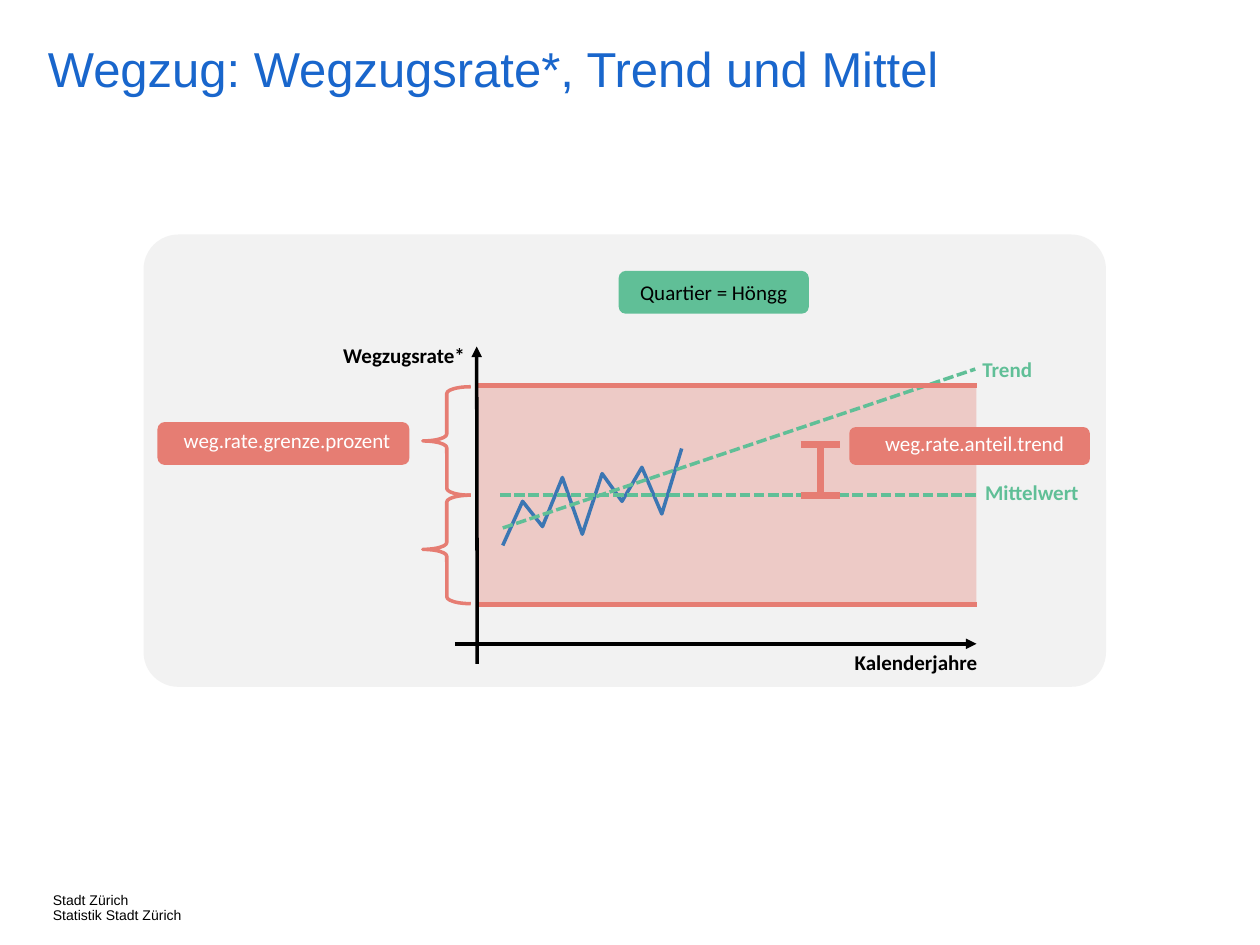
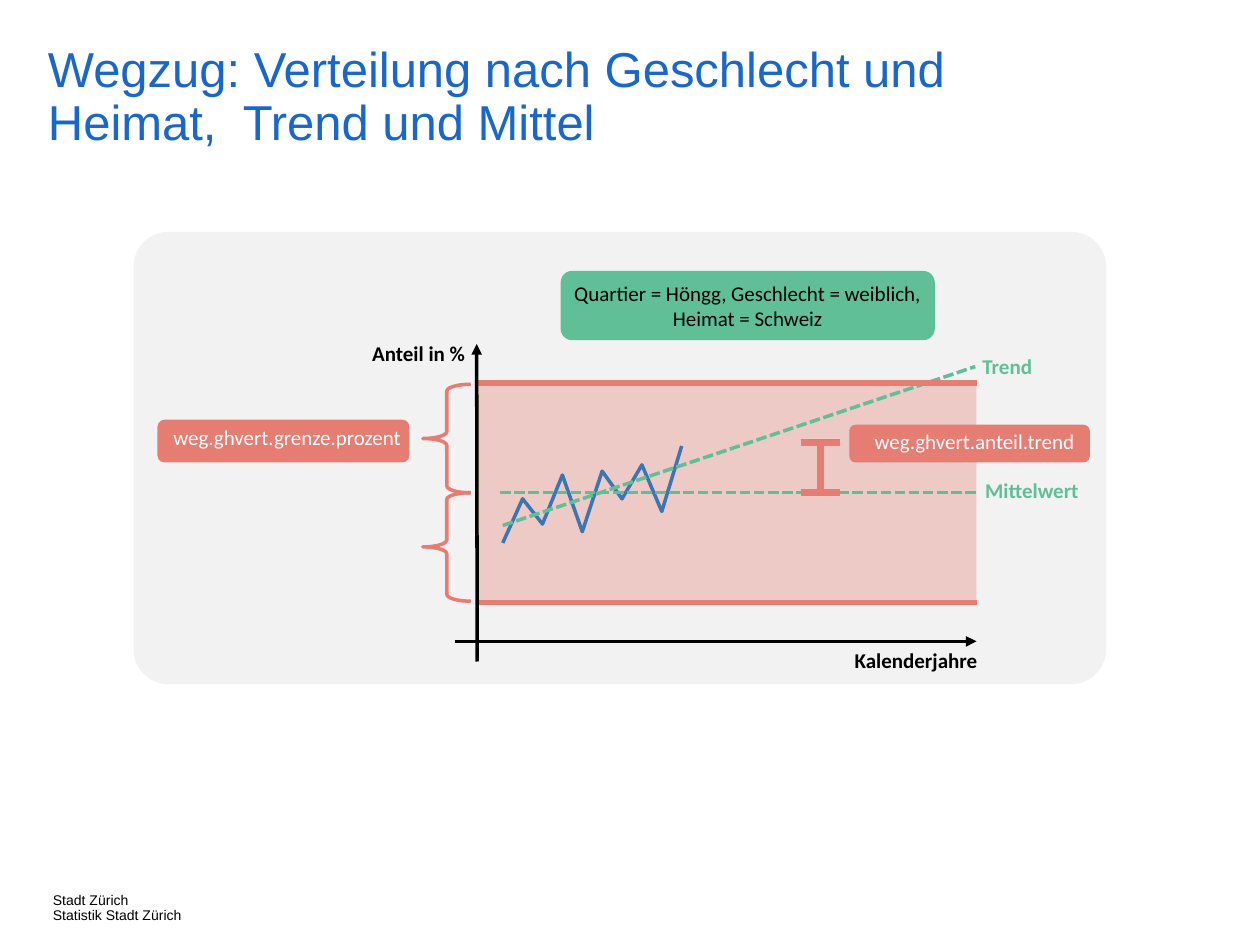
from lxml import etree
from pptx import Presentation
from pptx.dml.color import RGBColor
from pptx.enum.dml import MSO_LINE
from pptx.enum.shapes import MSO_CONNECTOR, MSO_SHAPE
from pptx.enum.text import MSO_ANCHOR, MSO_AUTO_SIZE, PP_ALIGN
from pptx.oxml.ns import qn
from pptx.util import Pt

LEFT, CENTER, RIGHT = PP_ALIGN.LEFT, PP_ALIGN.CENTER, PP_ALIGN.RIGHT
TOP, MIDDLE = MSO_ANCHOR.TOP, MSO_ANCHOR.MIDDLE
DASHED = MSO_LINE.SQUARE_DOT
STRAIGHT = MSO_CONNECTOR.STRAIGHT
RECTANGLE, ROUNDED = MSO_SHAPE.RECTANGLE, MSO_SHAPE.ROUNDED_RECTANGLE
BRACE = MSO_SHAPE.LEFT_BRACE

BLACK = RGBColor(0x00, 0x00, 0x00)
WHITE = RGBColor(0xFF, 0xFF, 0xFF)
TITLE_BLUE = RGBColor(0x19, 0x66, 0xCC)
PANEL_GREY = RGBColor(0xF2, 0xF2, 0xF2)
GREEN = RGBColor(0x60, 0xBF, 0x97)
CORAL = RGBColor(0xE6, 0x7D, 0x73)
DATA_BLUE = RGBColor(0x3B, 0x76, 0xB3)

HEADING_FONT, DIAGRAM_FONT = "Arial", "Calibri"
TITLE_LAYOUT = 5

# Heights of the yearly values, measured from the top of the plot
OBSERVATIONS = [91.4, 66.2, 80.6, 52.6, 85, 50.4, 66.2, 46.8, 73.4, 36]
YEAR_STEP = 11.36

# Boxes are left, top, width, height in points
SLIDES = [
    {
        "title": "Wegzug: Wegzugsrate*, Trend und Mittel",
        "panel": (82, 134, 550, 258.5),
        "plot": (272.2, 220.3, 285.8, 125.3),
        "filter": "Quartier = Höngg",
        "filter_box": (353.5, 154.8, 108.7, 24.5),
        "value_axis": "Wegzugsrate*",
        "limit": "weg.rate.grenze.prozent",
        "trend_share": "weg.rate.anteil.trend",
    },
    {
        "title": "Wegzug: Verteilung nach Geschlecht und Heimat,  Trend und Mittel",
        "panel": (76.3, 132.5, 555.8, 258.5),
        "plot": (272.2, 218.9, 285.8, 125.3),
        "filter": "Quartier = Höngg, Geschlecht = weiblich, Heimat = Schweiz",
        "filter_box": (320.4, 154.8, 213.8, 39.6),
        "value_axis": "Anteil in %",
        "limit": "weg.ghvert.grenze.prozent",
        "trend_share": "weg.ghvert.anteil.trend",
    },
]


def points(values):
    return [Pt(value) for value in values]


def set_text(shape, text, font, size, color, bold=False, align=LEFT,
             anchor=TOP, margins=None, spacing=None):
    """Fill a shape with text; margins are left, top, right, bottom."""
    frame = shape.text_frame
    frame.text = text
    frame.word_wrap = True
    frame.auto_size = MSO_AUTO_SIZE.NONE
    frame.vertical_anchor = anchor
    if margins is not None:
        (frame.margin_left, frame.margin_top,
         frame.margin_right, frame.margin_bottom) = points(margins)
    for paragraph in frame.paragraphs:
        paragraph.alignment = align
        if spacing:
            paragraph.line_spacing = spacing
        for run in paragraph.runs:
            run.font.name = font
            run.font.size = Pt(size)
            run.font.bold = bold
            run.font.color.rgb = color


def add_block(shapes, kind, box, color, opacity=None):
    shape = shapes.add_shape(kind, *points(box))
    shape.shadow.inherit = False
    shape.fill.solid()
    shape.fill.fore_color.rgb = color
    shape.line.fill.background()
    if opacity is not None:
        color_element = shape.fill._xPr.find(qn("a:solidFill"))[0]
        etree.SubElement(color_element, qn("a:alpha")).set("val", str(opacity * 1000))
    return shape


def add_tag(shapes, box, text, fill, color, margins=(0, 0, 0, 0)):
    tag = add_block(shapes, ROUNDED, box, fill)
    set_text(tag, text, DIAGRAM_FONT, 12, color, align=CENTER,
             anchor=MIDDLE, margins=margins)


def add_label(shapes, box, text, color, align=RIGHT):
    label = shapes.add_textbox(*points(box))
    set_text(label, text, DIAGRAM_FONT, 12, color, bold=True, align=align)


def add_line(shapes, start, end, color, width, dash=None, arrow=False):
    connector = shapes.add_connector(STRAIGHT, *points(start + end))
    connector.line.color.rgb = color
    connector.line.width = Pt(width)
    if dash:
        connector.line.dash_style = dash
    if arrow:
        line = connector.line._get_or_add_ln()
        etree.SubElement(line, qn("a:tailEnd")).set("type", "triangle")
    etree.SubElement(connector._element.spPr, qn("a:effectLst"))


def add_title(slide, text):
    title = slide.shapes.title
    title.left, title.top, title.width, title.height = points((27.4, 26, 604.8, 46))
    set_text(title, text, HEADING_FONT, 28, TITLE_BLUE,
             margins=(0, 0, 0, 0), spacing=0.9)


def add_footer(slide):
    footer = slide.shapes.add_textbox(*points((30.2, 510.5, 94.3, 14.4)))
    set_text(footer, "Stadt Zürich\nStatistik Stadt Zürich", HEADING_FONT, 8,
             BLACK, margins=(0, 0, 0, 0), spacing=0.9)
    footer.text_frame.word_wrap = False


def add_observations(shapes, left, top):
    vertices = [points((left + index * YEAR_STEP, top + height))
                for index, height in enumerate(OBSERVATIONS)]
    builder = shapes.build_freeform(*vertices[0])
    builder.add_line_segments(vertices[1:], close=False)
    curve = builder.convert_to_shape()
    curve.shadow.inherit = False
    curve.fill.background()
    curve.line.color.rgb = DATA_BLUE
    curve.line.width = Pt(2)


def add_limit_brace(shapes, box):
    brace = shapes.add_shape(BRACE, *points(box))
    brace.shadow.inherit = False
    brace.adjustments[0] = 0.142
    brace.fill.background()
    brace.line.color.rgb = CORAL
    brace.line.width = Pt(2)


def add_diagram(slide, content):
    shapes = slide.shapes.add_group_shape().shapes
    left, top, width, height = content["plot"]
    right, bottom, mean = left + width, top + height, top + height / 2

    # Panel, tolerance region and filter
    panel = add_block(shapes, ROUNDED, content["panel"], PANEL_GREY)
    panel.adjustments[0] = 0.077
    add_block(shapes, RECTANGLE, content["plot"], CORAL, opacity=34)
    add_tag(shapes, content["filter_box"], content["filter"], GREEN, BLACK)

    # Time axis
    axis = bottom + 22.3
    add_line(shapes, (left - 12.2, axis), (right, axis), BLACK, 2, arrow=True)
    add_label(shapes, (right - 79.2, axis, 89.3, 21.6), "Kalenderjahre", BLACK, CENTER)
    add_label(shapes, (left - 88.6, top - 28.1, 89.3, 21.6), content["value_axis"], BLACK)

    # Observed values, mean and trend
    add_observations(shapes, left + 15.1, top)
    add_line(shapes, (left + 13.7, mean), (right, mean), GREEN, 2, DASHED)
    add_label(shapes, (right - 23.8, mean - 12.2, 89.3, 21.6), "Mittelwert", GREEN)
    add_line(shapes, (left + 15.1, top + 81.4), (right - 0.7, top - 9.4), GREEN, 2, DASHED)
    add_label(shapes, (right - 7.2, top - 20.2, 46.1, 21.6), "Trend", GREEN)

    # Limits above and below the mean
    for limit, brace_top in ((top, top + 0.7), (bottom, mean)):
        add_line(shapes, (left, limit), (right, limit), CORAL, 3)
        add_limit_brace(shapes, (left - 30.6, brace_top, 27.4, 62))
    add_tag(shapes, (left - 182.2, top + 20.9, 144, 24.5), content["limit"],
            CORAL, WHITE, margins=(4.3, 0, 0, 4))

    # Value axis
    add_line(shapes, (left + 0.5, bottom + 33.8), (left + 0.2, top - 22.3),
             BLACK, 2, arrow=True)

    # Distance between trend and mean
    marker, marker_top = left + 196.6, top + 33.8
    add_line(shapes, (marker, marker_top), (marker, mean), CORAL, 4)
    for cap in (marker_top, mean):
        add_line(shapes, (marker - 11.3, cap), (marker + 11.3, cap), CORAL, 4)
    add_tag(shapes, (left + 213.1, top + 23.8, 137.5, 21.6), content["trend_share"],
            CORAL, WHITE, margins=(5.8, 0, 0, 3))


presentation = Presentation()
presentation.slide_width, presentation.slide_height = Pt(720), Pt(540)
for content in SLIDES:
    slide = presentation.slides.add_slide(presentation.slide_layouts[TITLE_LAYOUT])
    add_footer(slide)
    add_title(slide, content["title"])
    add_diagram(slide, content)
presentation.save("out.pptx")
